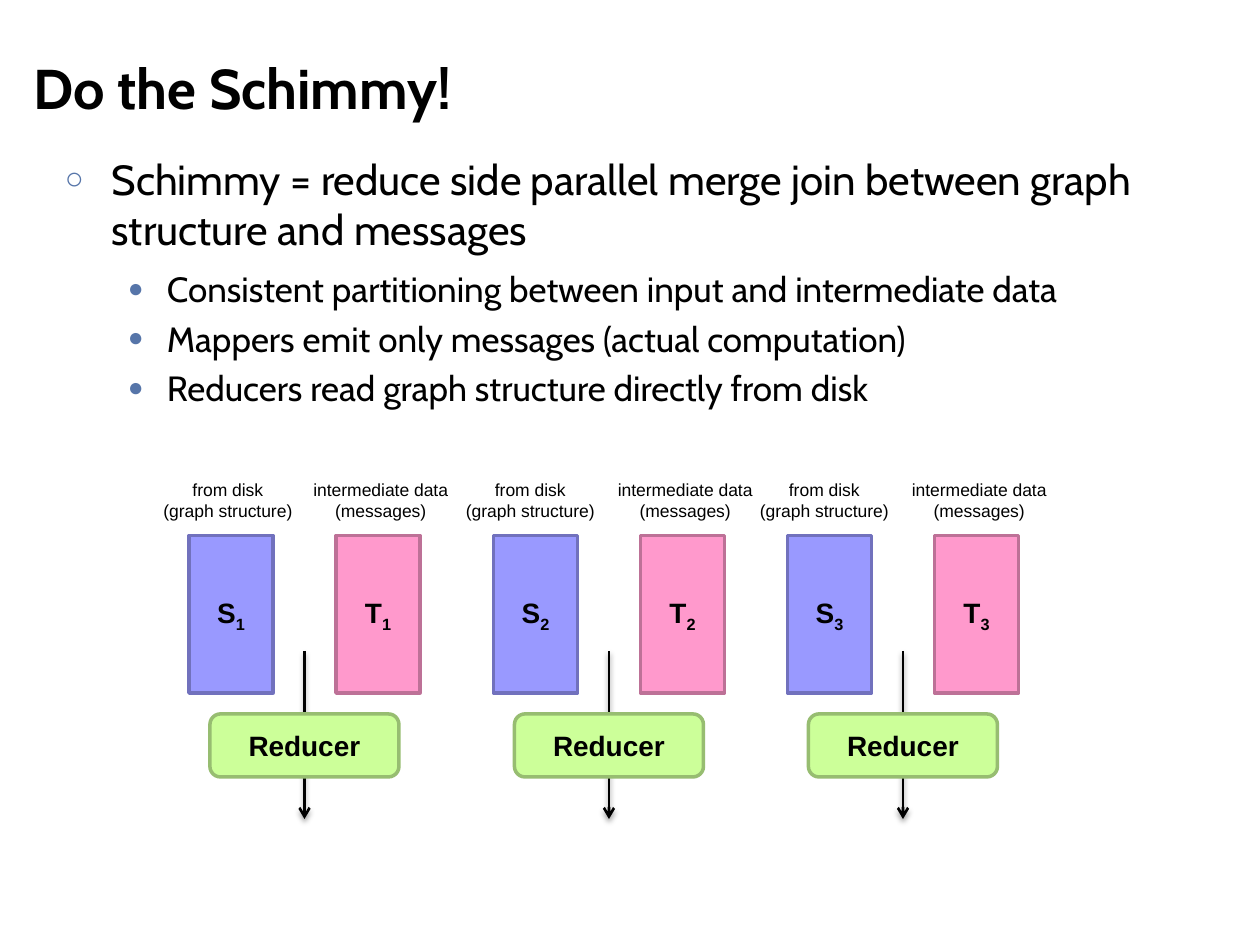
from dataclasses import dataclass
from lxml.etree import SubElement
from pptx import Presentation
from pptx.dml.color import RGBColor
from pptx.enum.shapes import MSO_CONNECTOR, MSO_SHAPE
from pptx.enum.text import MSO_ANCHOR, PP_ALIGN
from pptx.oxml.ns import qn
from pptx.util import Inches, Pt

COLORS = {
    "text": "000000",
    "bullet": "5675A9",
    "structure": "9999FF",
    "structure_edge": "7171BD",
    "messages": "FF99CC",
    "messages_edge": "BD7197",
    "reducer": "CCFF99",
    "reducer_edge": "97BD71",
}
COLUMNS, ROWS = 120, 90

deck = Presentation()
deck.slide_width, deck.slide_height = Inches(10), Inches(7.5)
page = deck.slides.add_slide(deck.slide_layouts[6])


@dataclass(frozen=True)
class Area:
    column: float
    row: float
    width: float
    height: float

    def lengths(self) -> tuple[int, int, int, int]:
        return (across(self.column), down(self.row), across(self.width), down(self.height))


@dataclass(frozen=True)
class Bullet:
    text: str
    level: int
    size: int
    mark: str
    margin: float
    hanging: float
    gap: int


@dataclass(frozen=True)
class Lane:
    number: int
    column: float
    caption_shift: float


@dataclass(frozen=True)
class Partition:
    letter: str
    kind: str
    offset: int
    caption: tuple[str, str]
    caption_offset: float
    caption_width: float


BULLETS = [
    Bullet("Schimmy = reduce side parallel merge join between graph structure and messages",
           0, 24, "○", 0.37, 0.37, 6),
    *(Bullet(text, 1, 20, "●", 0.81, 0.31, 2) for text in (
        "Consistent partitioning between input and intermediate data",
        "Mappers emit only messages (actual computation)",
        "Reducers read graph structure directly from disk",
    )),
]
LANES = [Lane(1, 18, 0.2), Lane(2, 47, 0), Lane(3, 75, 0)]
STRUCTURE = Partition("S", "structure", 0, ("from disk", "(graph structure)"), -3.95, 14.9)
MESSAGES = Partition("T", "messages", 14, ("intermediate data", "(messages)"), 10.5, 15.5)


def across(columns: float) -> int:
    return round(deck.slide_width * columns / COLUMNS)


def down(rows: float) -> int:
    return round(deck.slide_height * rows / ROWS)


def color(name: str) -> RGBColor:
    return RGBColor.from_string(COLORS[name])


def write(para, text: str, *, size: int, font: str = "Arial", bold: bool = False,
          subscript: bool = False, align=None) -> None:
    if align is not None:
        para.alignment = align
    span = para.add_run()
    span.text = text
    span.font.size = Pt(size)
    span.font.name = font
    span.font.bold = bold
    span.font.color.rgb = color("text")
    if subscript:
        span.font._element.set("baseline", "-25000")


def add_text_frame(area: Area, *, wrap: bool = True, anchor=MSO_ANCHOR.TOP):
    frame = page.shapes.add_textbox(*area.lengths()).text_frame
    frame.word_wrap = wrap
    frame.vertical_anchor = anchor
    return frame


def add_box(area: Area, shape, kind: str):
    box = page.shapes.add_shape(shape, *area.lengths())
    box.shadow.inherit = False
    box.fill.solid()
    box.fill.fore_color.rgb = color(kind)
    box.line.color.rgb = color(f"{kind}_edge")
    box.line.width = Pt(2)
    box.text_frame.vertical_anchor = MSO_ANCHOR.MIDDLE
    return box.text_frame.paragraphs[0]


def format_bullet(para, bullet: Bullet) -> None:
    para.level = bullet.level
    para.space_before = para.space_after = Pt(bullet.gap)
    properties = para._p.get_or_add_pPr()
    properties.set("marL", str(Inches(bullet.margin)))
    properties.set("indent", str(-Inches(bullet.hanging)))
    tint = SubElement(properties, qn("a:buClr"))
    SubElement(tint, qn("a:srgbClr"), val=COLORS["bullet"])
    SubElement(properties, qn("a:buSzPct"), val="75000")
    SubElement(properties, qn("a:buFont"), typeface="Arial")
    SubElement(properties, qn("a:buChar"), char=bullet.mark)


def add_flow(column: float) -> None:
    flow = page.shapes.add_connector(
        MSO_CONNECTOR.STRAIGHT, across(column), down(62), across(column), down(78))
    flow.line.color.rgb = color("text")
    flow.line.width = Pt(1.5)
    SubElement(flow.line._get_or_add_ln(), qn("a:tailEnd"), type="arrow")
    effects = SubElement(flow._element.spPr, qn("a:effectLst"))
    shadow = SubElement(effects, qn("a:outerShdw"), blurRad=str(Pt(3.1)),
                        dist=str(Pt(1.6)), dir="5400000", rotWithShape="0")
    tint = SubElement(shadow, qn("a:srgbClr"), val=COLORS["text"])
    SubElement(tint, qn("a:alpha"), val="38000")


def add_partition(lane: Lane, partition: Partition, shift: float = 0) -> None:
    para = add_box(Area(lane.column + partition.offset, 51, 8, 15),
                   MSO_SHAPE.RECTANGLE, partition.kind)
    write(para, partition.letter, size=16, bold=True, align=PP_ALIGN.CENTER)
    write(para, str(lane.number), size=16, bold=True, subscript=True)
    frame = add_text_frame(Area(lane.column + partition.caption_offset + shift, 45,
                                partition.caption_width, 5.25), wrap=False)
    for index, line in enumerate(partition.caption):
        para = frame.add_paragraph() if index else frame.paragraphs[0]
        write(para, line, size=10, align=PP_ALIGN.CENTER)


def add_lane(lane: Lane) -> None:
    add_partition(lane, STRUCTURE, lane.caption_shift)
    add_partition(lane, MESSAGES)
    add_flow(lane.column + 11)
    para = add_box(Area(lane.column + 2, 68, 18, 6), MSO_SHAPE.ROUNDED_RECTANGLE, "reducer")
    write(para, "Reducer", size=16, bold=True, align=PP_ALIGN.CENTER)


def main() -> None:
    title = add_text_frame(Area(2, 1.5, 114, 13.5), anchor=MSO_ANCHOR.MIDDLE)
    write(title.paragraphs[0], "Do the Schimmy!", size=32, font="Cabin", bold=True)
    body = add_text_frame(Area(5, 14, 111, 67))
    for index, bullet in enumerate(BULLETS):
        para = body.add_paragraph() if index else body.paragraphs[0]
        format_bullet(para, bullet)
        write(para, bullet.text, size=bullet.size, font="Cabin")
    for lane in LANES:
        add_lane(lane)
    deck.save("out.pptx")


if __name__ == "__main__":
    main()
